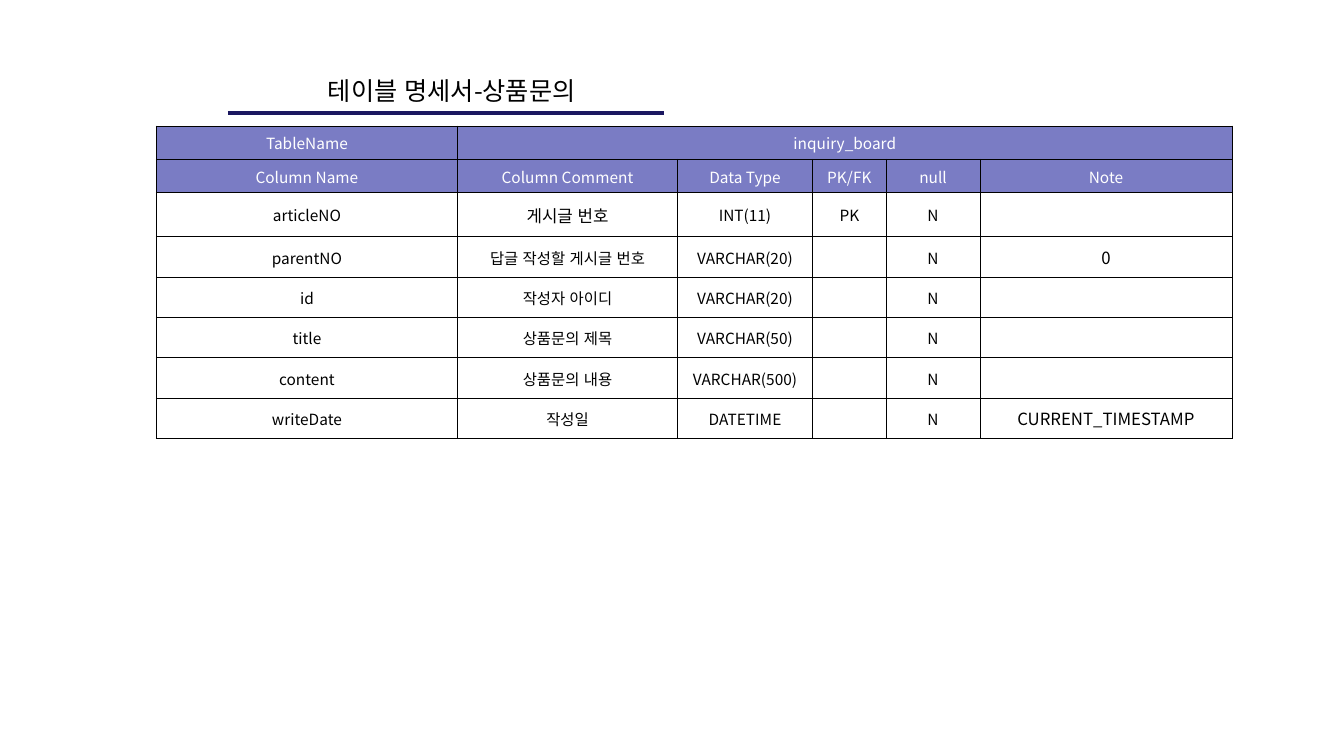
from dataclasses import dataclass

from lxml import etree
from pptx import Presentation
from pptx.dml.color import RGBColor
from pptx.enum.lang import MSO_LANGUAGE_ID
from pptx.enum.shapes import MSO_CONNECTOR
from pptx.enum.text import MSO_ANCHOR, MSO_AUTO_SIZE, PP_ALIGN
from pptx.oxml.ns import qn
from pptx.util import Pt

CENTER = PP_ALIGN.CENTER
MIDDLE = MSO_ANCHOR.MIDDLE
TOP = MSO_ANCHOR.TOP
GROW = MSO_AUTO_SIZE.SHAPE_TO_FIT_TEXT
STRAIGHT = MSO_CONNECTOR.STRAIGHT
KOREAN = MSO_LANGUAGE_ID.KOREAN

TITLE = "테이블 명세서-상품문의"
ROWS = [
    ["TableName", "inquiry_board", "", "", "", ""],
    ["Column Name", "Column Comment", "Data Type", "PK/FK", "null", "Note"],
    ["articleNO", "게시글 번호", "INT(11)", "PK", "N", ""],
    ["parentNO", "답글 작성할 게시글 번호", "VARCHAR(20)", "", "N", "0"],
    ["id", "작성자 아이디", "VARCHAR(20)", "", "N", ""],
    ["title", "상품문의 제목", "VARCHAR(50)", "", "N", ""],
    ["content", "상품문의 내용", "VARCHAR(500)", "", "N", ""],
    ["writeDate", "작성일", "DATETIME", "", "N", "CURRENT_TIMESTAMP"],
]
HEADS = 2
LARGE = {"게시글 번호", "0", "CURRENT_TIMESTAMP"}
WIDTHS = [299, 218, 134, 73, 93, 250]
HEIGHTS = [33] * HEADS + [44] + [40] * 5
SCALE = 9144


@dataclass(frozen=True)
class Theme:
    font: str = "Noto Sans CJK KR"
    ink: str = "000000"
    paper: str = "FFFFFF"
    head: str = "7A7CC4"
    rule: str = "1B1760"
    title: int = 18
    large: int = 12
    body: int = 11
    edge: float = 0.6
    bar: int = 3
    lead: float = 1.03


theme = Theme()


def px(*sizes):
    return [size * SCALE for size in sizes]


def style(para, size, color):
    para.alignment = CENTER
    for run in para.runs:
        run.font.size = Pt(size)
        run.font.bold = False
        run.font.language_id = KOREAN
        run.font.color.rgb = RGBColor.from_string(color)
        run.font.name = theme.font
        props = run.font._element
        etree.SubElement(props, qn("a:ea"), typeface=theme.font)
    if not para.runs:
        etree.SubElement(para._p, qn("a:endParaRPr"), sz=str(size * 100))


def border(cell):
    props = cell._tc.get_or_add_tcPr()
    for side in "LRTB":
        line = etree.SubElement(props, qn(f"a:ln{side}"), w=str(Pt(theme.edge)))
        fill = etree.SubElement(line, qn("a:solidFill"))
        etree.SubElement(fill, qn("a:srgbClr"), val=theme.ink)


def add_title(slide):
    box = slide.shapes.title
    box.left, box.top, box.width, box.height = px(229, 70, 438, 39)
    frame = box.text_frame
    frame.text = TITLE
    frame.word_wrap = True
    frame.auto_size = GROW
    frame.vertical_anchor = TOP
    para = frame.paragraphs[0]
    para.line_spacing = 1.0
    style(para, theme.title, theme.ink)


def add_rule(slide):
    line = slide.shapes.add_connector(STRAIGHT, *px(226, 112, 659, 112))
    line.line.color.rgb = RGBColor.from_string(theme.rule)
    line.line.width = Pt(theme.bar)
    etree.SubElement(line._element.spPr, qn("a:effectLst"))


def add_grid(slide):
    area = px(155, 125, sum(WIDTHS), sum(HEIGHTS))
    table = slide.shapes.add_table(len(ROWS), len(WIDTHS), *area).table
    table.first_row = table.horz_banding = False
    for col, width in zip(table.columns, px(*WIDTHS)):
        col.width = width
    for row, height in zip(table.rows, px(*HEIGHTS)):
        row.height = height
    for r, texts in enumerate(ROWS):
        for c, text in enumerate(texts):
            cell = table.cell(r, c)
            cell.text = text
            cell.vertical_anchor = MIDDLE
            border(cell)
            if r < HEADS:
                cell.fill.solid()
                cell.fill.fore_color.rgb = RGBColor.from_string(theme.head)
            else:
                cell.fill.background()
            para = cell.text_frame.paragraphs[0]
            para.line_spacing = theme.lead
            size = theme.large if text in LARGE else theme.body
            style(para, size, theme.paper if r < HEADS else theme.ink)
    table.cell(0, 1).merge(table.cell(0, len(WIDTHS) - 1))


def main():
    deck = Presentation()
    deck.slide_width, deck.slide_height = px(1333, 750)
    slide = deck.slides.add_slide(deck.slide_layouts[5])
    add_grid(slide)
    add_rule(slide)
    add_title(slide)
    deck.save("out.pptx")


if __name__ == "__main__":
    main()
